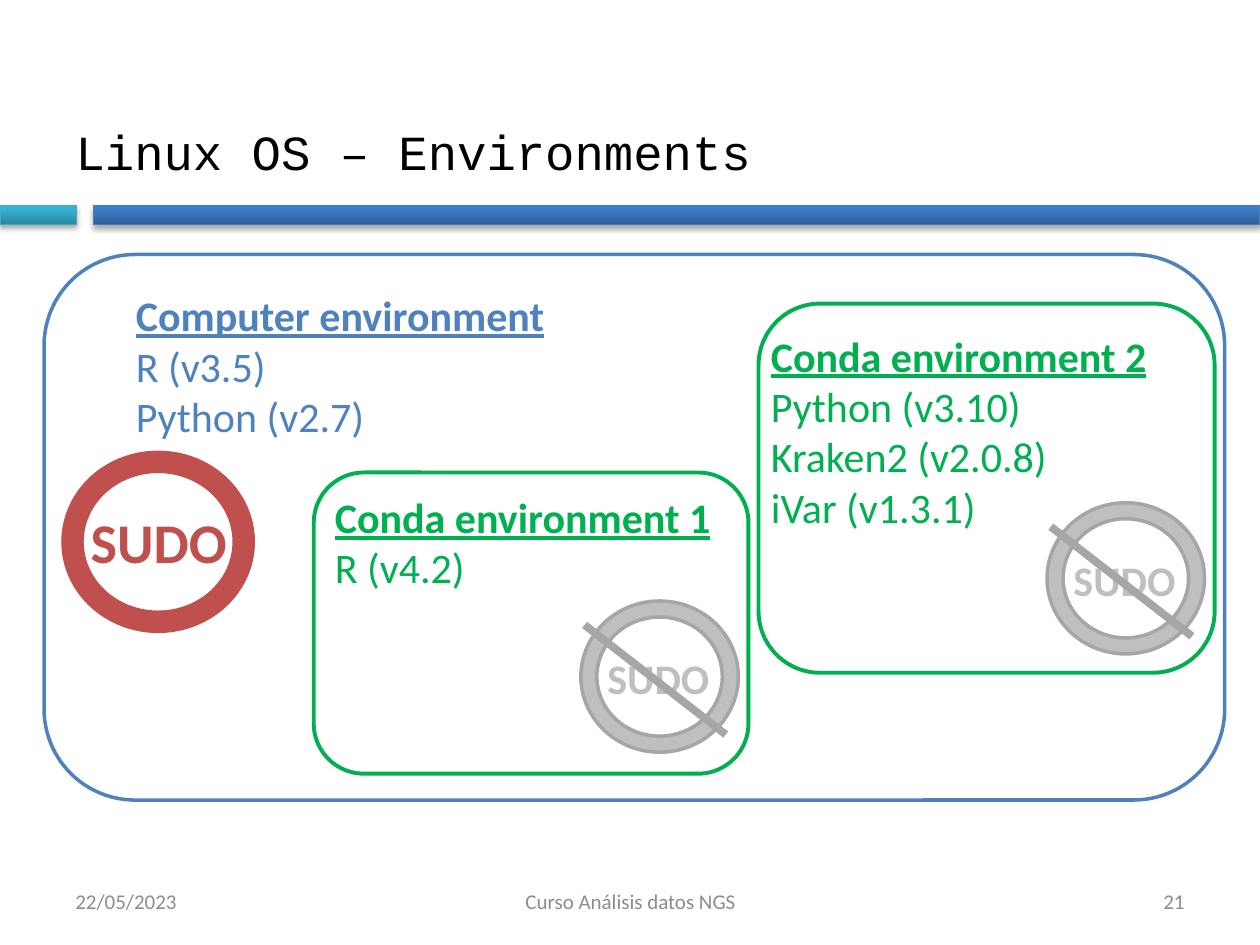
from lxml import etree
from pptx import Presentation
from pptx.dml.color import RGBColor
from pptx.enum.shapes import MSO_CONNECTOR, MSO_SHAPE
from pptx.enum.text import MSO_ANCHOR, MSO_AUTO_SIZE, PP_ALIGN
from pptx.oxml import parse_xml
from pptx.oxml.ns import qn
from pptx.util import Inches, Pt

RECT, ROUNDED, DONUT = MSO_SHAPE.RECTANGLE, MSO_SHAPE.ROUNDED_RECTANGLE, MSO_SHAPE.DONUT
STRAIGHT = MSO_CONNECTOR.STRAIGHT
TOP, MIDDLE = MSO_ANCHOR.TOP, MSO_ANCHOR.MIDDLE
GROW, NO_FIT = MSO_AUTO_SIZE.SHAPE_TO_FIT_TEXT, MSO_AUTO_SIZE.NONE
LEFT, CENTER, RIGHT = PP_ALIGN.LEFT, PP_ALIGN.CENTER, PP_ALIGN.RIGHT
BLUE, GREEN, RED = "4F81BD", "00B050", "C0504D"
SILVER, GRAY, FOOTER = "BFBFBF", "A6A6A6", "8C8C8C"
NS = 'xmlns:a="http://schemas.openxmlformats.org/drawingml/2006/main"'


def rgb(value):
    return RGBColor.from_string(value)


def inches(box):
    return [Inches(v) for v in box]


def style_font(p, size, color, name="Calibri", bold=False, underline=False):
    f = p.font
    f.name, f.size, f.bold, f.underline = name, Pt(size), bold, underline
    f.color.rgb = rgb(color)


def add_shape(s, kind, box, line, width, fill=None):
    sp = s.shapes.add_shape(kind, *inches(box))
    sp.shadow.inherit = False
    if fill:
        sp.fill.solid()
        sp.fill.fore_color.rgb = rgb(fill)
    else:
        sp.fill.background()
    sp.line.color.rgb = rgb(line)
    sp.line.width = Pt(width)
    return sp


def add_bar(s, left, width, line, colors):
    sp = add_shape(s, RECT, (left, 1.63, width, 0.15), line, 0.75, line)
    stops = "".join(
        f'<a:gs pos="{pos * 1000}"><a:srgbClr val="{color}"/></a:gs>'
        for pos, color in zip((0, 80, 100), colors))
    spPr = sp._element.spPr
    spPr.replace(spPr.find(qn("a:solidFill")), parse_xml(
        f'<a:gradFill {NS} rotWithShape="1"><a:gsLst>{stops}</a:gsLst>'
        '<a:lin ang="16200000" scaled="0"/></a:gradFill>'))
    spPr.find(qn("a:effectLst")).append(parse_xml(
        f'<a:outerShdw {NS} blurRad="{Pt(3.1)}" dist="{Pt(1.8)}" dir="5400000" '
        'rotWithShape="0"><a:srgbClr val="000000"><a:alpha val="35000"/>'
        '</a:srgbClr></a:outerShdw>'))


def add_text(s, box, lines, size, color, align=LEFT, anchor=TOP, fit=GROW, heading=False):
    tf = s.shapes.add_textbox(*inches(box)).text_frame
    tf.word_wrap = True
    tf.auto_size = fit
    tf.vertical_anchor = anchor
    tf.text = "\n".join(lines)
    for i, p in enumerate(tf.paragraphs):
        p.alignment = align
        is_heading = heading and i == 0
        style_font(p, size, color, bold=is_heading, underline=is_heading)
    return tf


def add_environment(s, frame, text_box, lines, color, width):
    add_shape(s, ROUNDED, frame, color, width)
    add_text(s, text_box, lines, 24, color, heading=True)


def add_sudo(s, ring, text_box, size, color, line):
    sp = add_shape(s, DONUT, ring, line, 2, color)
    sp.adjustments[0] = 0.106
    p = add_text(s, text_box, ["SUDO"], size, color, CENTER).paragraphs[0]
    p.font.bold = True
    p._p.pPr.find(qn("a:defRPr")).insert(0, parse_xml(
        f'<a:ln {NS} w="{Pt(0.75)}"><a:solidFill><a:srgbClr val="{color}"/>'
        '</a:solidFill></a:ln>'))


def add_blocked_sudo(s, left, top):
    add_sudo(s, (left, top, 1.25, 1.2), (left + 0.06, top + 0.36, 1.11, 0.5),
             24, SILVER, GRAY)
    x, y = left + 0.03, top + 0.19 - 0.04 * (top > 4)
    x -= 0.02 * (top > 4)
    x, y = left + 0.03, top + 0.19
    cn = s.shapes.add_connector(STRAIGHT, *inches((x, y, x + 1.12, y + 0.87)))
    cn.line.color.rgb = rgb(GRAY)
    cn.line.width = Pt(4.5)
    etree.SubElement(cn._element.spPr, qn("a:effectLst"))


def add_title(s, text):
    sp = s.shapes.title
    sp.left, sp.top, sp.width, sp.height = inches((0.5, 0.76, 9, 0.87))
    tf = sp.text_frame
    tf.text = text
    tf.auto_size = NO_FIT
    tf.vertical_anchor = MIDDLE
    p = tf.paragraphs[0]
    p.alignment = LEFT
    style_font(p, 28, "000000", "Courier New")


def add_footer(s, left, width, text, align):
    add_text(s, (left, 6.95, width, 0.4), [text], 12, FOOTER, align, MIDDLE, NO_FIT)


def main():
    prs = Presentation()
    prs.slide_width, prs.slide_height = inches((10, 7.5))
    s = prs.slides.add_slide(prs.slide_layouts[5])
    add_bar(s, 0.74, 9.26, "4B7EBC", ("2F5F99", "3D7CC7", "3A7CCB"))
    add_bar(s, 0, 0.61, "46AAC5", ("2A88A2", "37B1D2", "34B4D6"))
    add_title(s, "Linux OS – Environments")
    add_environment(s, (0.35, 2.02, 9.37, 4.33), (0.98, 2.25, 3.54, 1.65),
                    ["Computer environment", "R (v3.5)", "Python (v2.7)"], BLUE, 2)
    add_sudo(s, (0.5, 3.59, 1.51, 1.42), (0.59, 3.98, 1.34, 0.64), 32, RED, RED)
    add_environment(s, (6.02, 2.41, 3.62, 2.93), (6.02, 2.57, 3.54, 2.05),
                    ["Conda environment 2", "Python (v3.10)", "Kraken2 (v2.0.8)",
                     "iVar (v1.3.1)"], GREEN, 2.25)
    add_blocked_sudo(s, 8.31, 3.99)
    add_environment(s, (2.49, 3.75, 3.45, 2.39), (2.56, 3.85, 3.3, 1.25),
                    ["Conda environment 1", "R (v4.2)"], GREEN, 2.25)
    add_blocked_sudo(s, 4.61, 4.77)
    add_footer(s, 0.5, 2.33, "22/05/2023", LEFT)
    add_footer(s, 3.42, 3.17, "Curso Análisis datos NGS", CENTER)
    add_footer(s, 7.17, 2.33, "21", RIGHT)
    prs.save("out.pptx")


if __name__ == "__main__":
    main()
